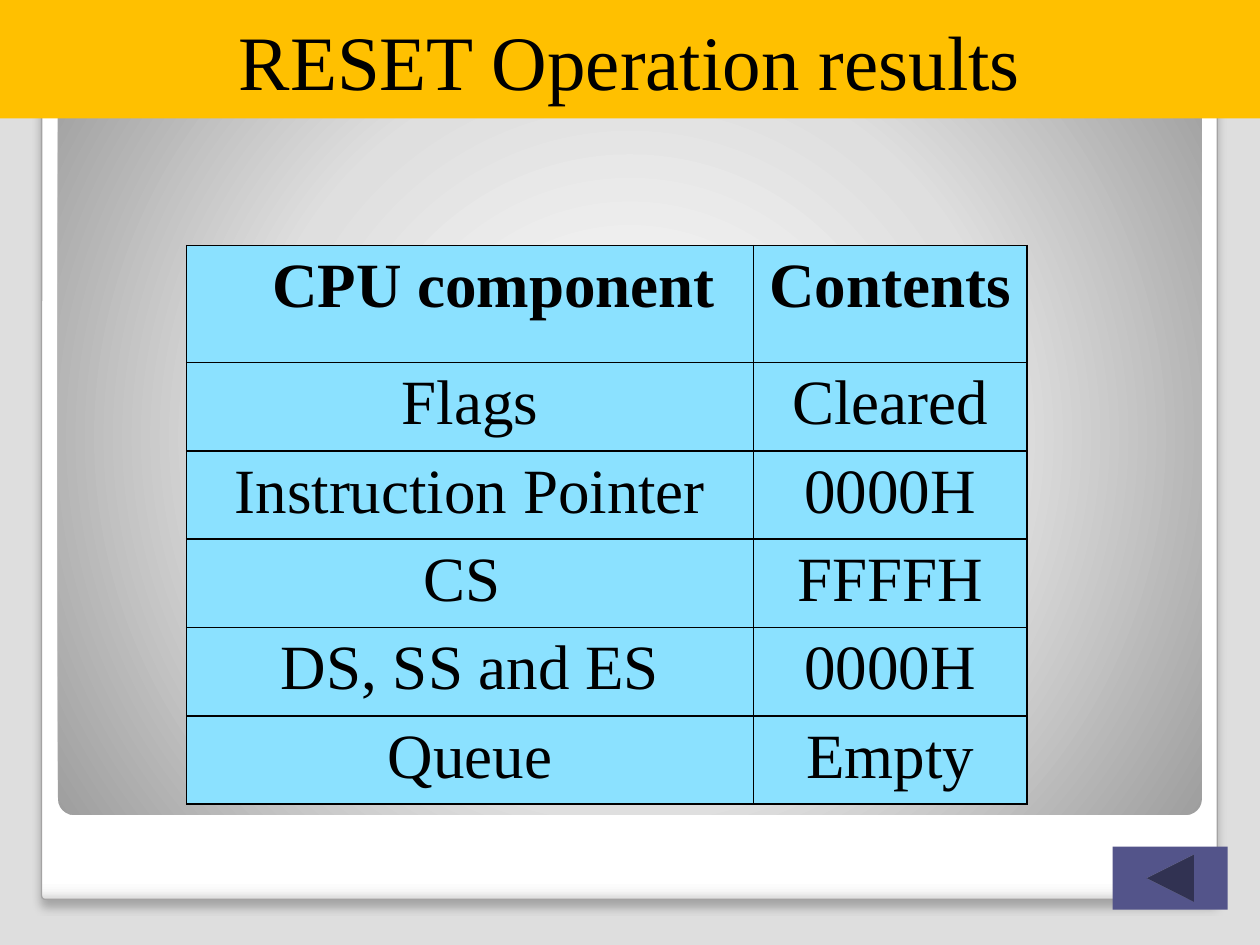
from pptx import Presentation
from pptx.dml.color import RGBColor
from pptx.enum.shapes import MSO_SHAPE as Preset
from pptx.enum.text import MSO_ANCHOR as Anchor, PP_ALIGN as Align
from pptx.oxml import parse_xml
from pptx.oxml.ns import nsdecls, qn
from pptx.util import Cm, Pt

# Content
TITLE = "RESET Operation results"
REGISTERS = [
    ("\tCPU component", "Contents"),
    ("Flags", "Cleared"),
    ("Instruction Pointer", "0000H"),
    ("CS ", "FFFFH"),
    ("DS, SS and ES", "0000H"),
    ("Queue", "Empty"),
]

# Style
FONT = "Times New Roman"
BLACK = RGBColor(0x00, 0x00, 0x00)
BACKDROP = RGBColor(0xDE, 0xDE, 0xDE)
CARD_EDGE = RGBColor(0xA4, 0xA3, 0xA3)
AMBER = RGBColor(0xFF, 0xC0, 0x00)
SKY = RGBColor(0x8B, 0xE1, 0xFF)
INDIGO = RGBColor(0x53, 0x54, 0x8A)
CARD_STOPS = [(0, "FFFFFF"), (98, "FFFFFF"), (99, "F7F7F7"), (100, "DADADA")]
PANEL_STOPS = [(0, "FFFFFF"), (55, "DFDFDF"), (100, "9E9E9E")]
DOWNWARD = '<a:lin ang="5400000" scaled="0"/>'
RADIAL = ('<a:path path="circle">'
          '<a:fillToRect l="50000" t="50000" r="50000" b="50000"/></a:path>')
COLUMN_WIDTHS = (11.43, 5.51)
HEADER_HEIGHT, ROW_HEIGHT = 2.36, 1.78
HANGING = Cm(0.95)


def add_shape(slide, preset, left, top, width, height, color=None):
    shape = slide.shapes.add_shape(preset, Cm(left), Cm(top), Cm(width), Cm(height))
    shape.shadow.inherit = False
    shape.line.fill.background()
    if color is not None:
        shape.fill.solid()
        shape.fill.fore_color.rgb = color
    return shape


def set_gradient(shape, stops, direction):
    shape.fill.gradient()
    properties = shape._element.spPr
    stop_xml = "".join(f'<a:gs pos="{pos * 1000}"><a:srgbClr val="{color}"/></a:gs>'
                       for pos, color in stops)
    properties.replace(properties.find(qn("a:gradFill")), parse_xml(
        f'<a:gradFill {nsdecls("a")} rotWithShape="1">'
        f"<a:gsLst>{stop_xml}</a:gsLst>{direction}</a:gradFill>"))


def style_paragraph(paragraph, size, bold=False):
    paragraph.alignment = Align.CENTER
    paragraph.font.name = FONT
    paragraph.font.size = Pt(size)
    paragraph.font.bold = bold
    paragraph.font.color.rgb = BLACK


def add_borders(cell):
    cell_properties = cell._tc.get_or_add_tcPr()
    for side in ("lnL", "lnR", "lnT", "lnB"):
        cell_properties.append(parse_xml(
            f'<a:{side} {nsdecls("a")} w="{Pt(1)}"><a:solidFill>'
            f'<a:srgbClr val="{BLACK}"/></a:solidFill></a:{side}>'))


prs = Presentation()
prs.slide_width, prs.slide_height = Cm(25.4), Cm(19.05)
slide = prs.slides.add_slide(prs.slide_layouts[6])
slide.background.fill.solid()
slide.background.fill.fore_color.rgb = BACKDROP

# White card with a soft shadow
card = add_shape(slide, Preset.ROUNDED_RECTANGLE, 0.84, 0.91, 23.7, 17.22)
card.adjustments[0] = 0.004
set_gradient(card, CARD_STOPS, DOWNWARD)
card.line.color.rgb = CARD_EDGE
card.line.width = Pt(0.75)
card._element.spPr.find(qn("a:effectLst")).append(parse_xml(
    f'<a:outerShdw {nsdecls("a")} blurRad="{Pt(5)}" dist="{Pt(4)}" dir="5400000" '
    'algn="t" rotWithShape="0"><a:srgbClr val="000000"><a:alpha val="25000"/>'
    "</a:srgbClr></a:outerShdw>"))

# Grey panel
panel = add_shape(slide, Preset.ROUNDED_RECTANGLE, 1.17, 1.19, 23.06, 15.24)
panel.adjustments[0] = 0.021
set_gradient(panel, PANEL_STOPS, RADIAL)

# Register table
row_heights = [HEADER_HEIGHT] + [ROW_HEIGHT] * (len(REGISTERS) - 1)
table = slide.shapes.add_table(
    len(REGISTERS), len(COLUMN_WIDTHS), Cm(3.76), Cm(4.95),
    Cm(sum(COLUMN_WIDTHS)), Cm(sum(row_heights))).table
for column, width in zip(table.columns, COLUMN_WIDTHS):
    column.width = Cm(width)
for r, (entries, height) in enumerate(zip(REGISTERS, row_heights)):
    table.rows[r].height = Cm(height)
    for c, entry in enumerate(entries):
        cell = table.cell(r, c)
        cell.text = entry
        add_borders(cell)
        cell.fill.solid()
        cell.fill.fore_color.rgb = SKY
        paragraph = cell.text_frame.paragraphs[0]
        style_paragraph(paragraph, 36, bold=r == 0)
        indents = paragraph._p.get_or_add_pPr()
        indents.set("marL", str(HANGING))
        indents.set("indent", str(-HANGING))

# Title band
title = add_shape(slide, Preset.RECTANGLE, 0, 0, 25.4, 2.39, AMBER)
title.text_frame.text = TITLE
title.text_frame.word_wrap = True
title.text_frame.vertical_anchor = Anchor.MIDDLE
style_paragraph(title.text_frame.paragraphs[0], 44)

# Back button
add_shape(slide, Preset.ACTION_BUTTON_BACK_OR_PREVIOUS, 22.43, 17.07, 2.32, 1.27, INDIGO)

prs.save("out.pptx")
